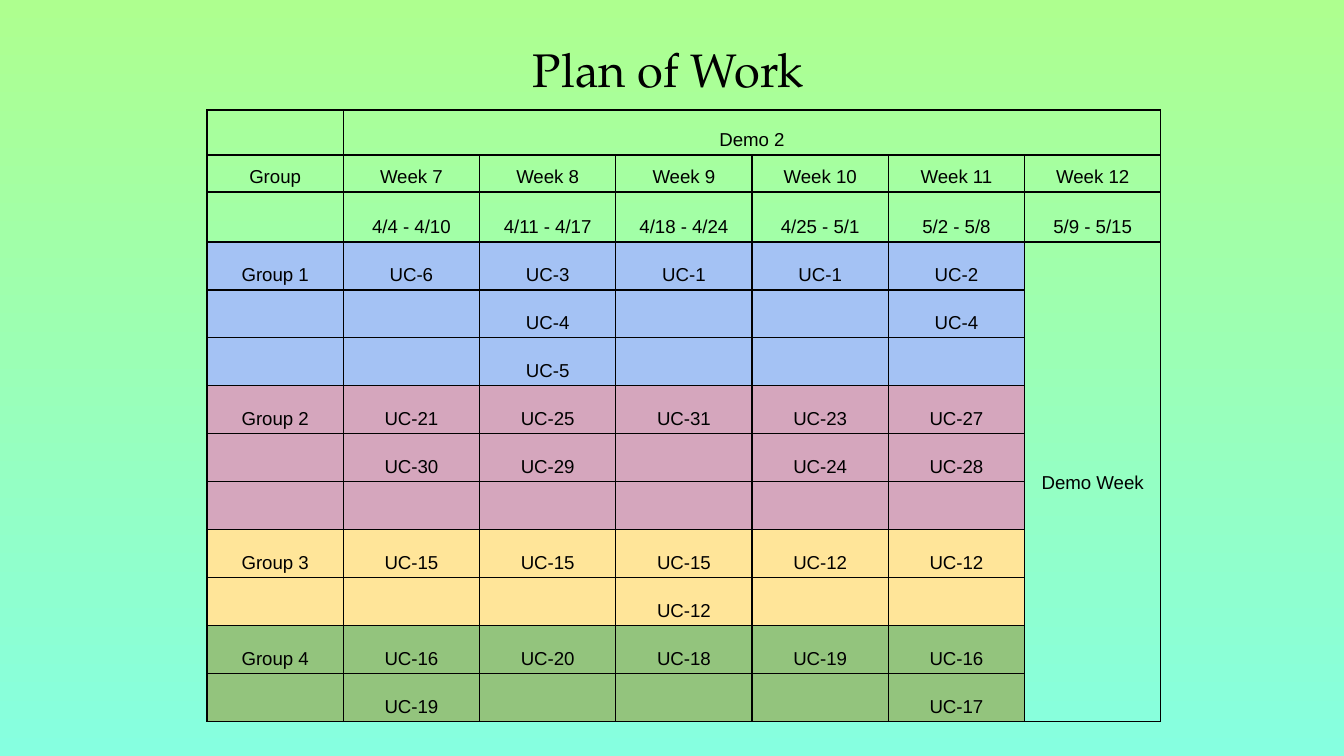
from dataclasses import dataclass

from lxml.etree import SubElement
from pptx import Presentation
from pptx.dml.color import RGBColor
from pptx.enum.text import MSO_ANCHOR, PP_ALIGN
from pptx.oxml.ns import qn
from pptx.slide import Slide
from pptx.table import Table, _Cell
from pptx.text.text import TextFrame
from pptx.util import Emu, Pt

SLIDE_WIDTH, SLIDE_HEIGHT = 1344, 756
EMU_PER_PX = 914400 / 134.4


@dataclass(frozen=True)
class Theme:
    background_top: str = "AEFF8F"
    background_bottom: str = "86FFE0"
    ink: str = "000000"
    blue: str = "A4C2F4"
    pink: str = "D5A6BD"
    yellow: str = "FFE599"
    green: str = "93C47D"
    title_font: str = "TeX Gyre Pagella"
    title_size: float = 25.2
    body_font: str = "Arial"
    body_size: float = 10
    border_width: float = 0.75


@dataclass(frozen=True)
class WorkGroup:
    """One group's block: each line holds the use cases of weeks 7 to 11."""
    name: str
    color: str
    lines: tuple[tuple[str, ...], ...]


THEME = Theme()
HEADER_ROWS = (
    ("", "Demo 2"),
    ("Group", "Week 7", "Week 8", "Week 9", "Week 10", "Week 11", "Week 12"),
    ("", "4/4 - 4/10", "4/11 - 4/17", "4/18 - 4/24", "4/25 - 5/1", "5/2 - 5/8",
     "5/9 - 5/15"),
)
HEADER_HEIGHTS = (45, 37, 50)
GROUP_ROW_HEIGHT = 48
COLUMN_COUNT = 7
GROUPS = (
    WorkGroup("Group 1", THEME.blue, (
        ("UC-6", "UC-3", "UC-1", "UC-1", "UC-2"),
        ("", "UC-4", "", "", "UC-4"),
        ("", "UC-5", "", "", ""),
    )),
    WorkGroup("Group 2", THEME.pink, (
        ("UC-21", "UC-25", "UC-31", "UC-23", "UC-27"),
        ("UC-30", "UC-29", "", "UC-24", "UC-28"),
        ("", "", "", "", ""),
    )),
    WorkGroup("Group 3", THEME.yellow, (
        ("UC-15", "UC-15", "UC-15", "UC-12", "UC-12"),
        ("", "", "UC-12", "", ""),
    )),
    WorkGroup("Group 4", THEME.green, (
        ("UC-16", "UC-20", "UC-18", "UC-19", "UC-16"),
        ("UC-19", "", "", "", "UC-17"),
    )),
)


def px(length: int) -> Emu:
    return Emu(round(length * EMU_PER_PX))


def write_text(frame: TextFrame, text: str, *, font: str = THEME.body_font,
               size: float = THEME.body_size, color: str = THEME.ink,
               align: PP_ALIGN = PP_ALIGN.CENTER, line_spacing: float = 1.15) -> None:
    paragraph = frame.paragraphs[0]
    paragraph.alignment = align
    paragraph.line_spacing = line_spacing
    if not text:
        # The end mark keeps an empty cell from growing to the default type size.
        paragraph._p.get_or_add_endParaRPr().set("sz", str(round(size * 100)))
        return
    run = paragraph.add_run()
    run.text = text
    run.font.name = font
    run.font.size = Pt(size)
    run.font.color.rgb = RGBColor.from_string(color)


def paint_background(slide: Slide) -> None:
    fill = slide.background.fill
    fill.gradient()
    fill.gradient_angle = 270
    for stop, color in zip(fill.gradient_stops,
                           (THEME.background_top, THEME.background_bottom)):
        stop.color.rgb = RGBColor.from_string(color)


def add_title(slide: Slide, text: str) -> None:
    frame = slide.shapes.add_textbox(px(520), px(26), px(304), px(85)).text_frame
    frame.word_wrap = True
    frame.vertical_anchor = MSO_ANCHOR.MIDDLE
    frame.margin_left = frame.margin_right = px(13)
    frame.margin_top = frame.margin_bottom = px(13)
    write_text(frame, text, font=THEME.title_font, size=THEME.title_size,
               align=PP_ALIGN.LEFT, line_spacing=1.0)


def add_borders(cell: _Cell) -> None:
    properties = cell._tc.get_or_add_tcPr()
    for side in ("a:lnL", "a:lnR", "a:lnT", "a:lnB"):
        line = SubElement(properties, qn(side), w=str(Pt(THEME.border_width)))
        fill = SubElement(line, qn("a:solidFill"))
        SubElement(fill, qn("a:srgbClr"), val=THEME.ink)


def format_cell(cell: _Cell, color: str | None) -> None:
    add_borders(cell)
    cell.margin_left = cell.margin_right = px(4)
    cell.margin_top = cell.margin_bottom = px(4)
    cell.vertical_anchor = MSO_ANCHOR.BOTTOM
    if color:
        cell.fill.solid()
        cell.fill.fore_color.rgb = RGBColor.from_string(color)
    else:
        cell.fill.background()


def fill_row(table: Table, row: int, texts: tuple[str, ...],
             color: str | None = None) -> None:
    """Write one row; columns without a text stay clear."""
    for column in range(COLUMN_COUNT):
        cell = table.cell(row, column)
        has_text = column < len(texts)
        format_cell(cell, color if has_text else None)
        write_text(cell.text_frame, texts[column] if has_text else "")


def add_plan(slide: Slide) -> None:
    group_rows = [((group.name if index == 0 else "", *line), group.color)
                  for group in GROUPS for index, line in enumerate(group.lines)]
    heights = (*HEADER_HEIGHTS, *[GROUP_ROW_HEIGHT] * len(group_rows))
    table = slide.shapes.add_table(len(heights), COLUMN_COUNT, px(207), px(110),
                                   px(954), px(sum(heights))).table
    table.first_row = table.horz_banding = False
    for row, height in zip(table.rows, heights):
        row.height = px(height)

    for row, texts in enumerate(HEADER_ROWS):
        fill_row(table, row, texts)
    first_group_row = len(HEADER_ROWS)
    for row, (texts, color) in enumerate(group_rows, first_group_row):
        fill_row(table, row, texts, color)

    last_column = COLUMN_COUNT - 1
    table.cell(0, 1).merge(table.cell(0, last_column))
    demo_week = table.cell(first_group_row, last_column)
    demo_week.merge(table.cell(len(heights) - 1, last_column))
    demo_week.vertical_anchor = MSO_ANCHOR.MIDDLE
    write_text(demo_week.text_frame, "Demo Week")


def main() -> None:
    presentation = Presentation()
    presentation.slide_width = px(SLIDE_WIDTH)
    presentation.slide_height = px(SLIDE_HEIGHT)
    slide = presentation.slides.add_slide(presentation.slide_layouts[6])
    paint_background(slide)
    add_title(slide, "Plan of Work")
    add_plan(slide)
    presentation.save("out.pptx")


if __name__ == "__main__":
    main()
